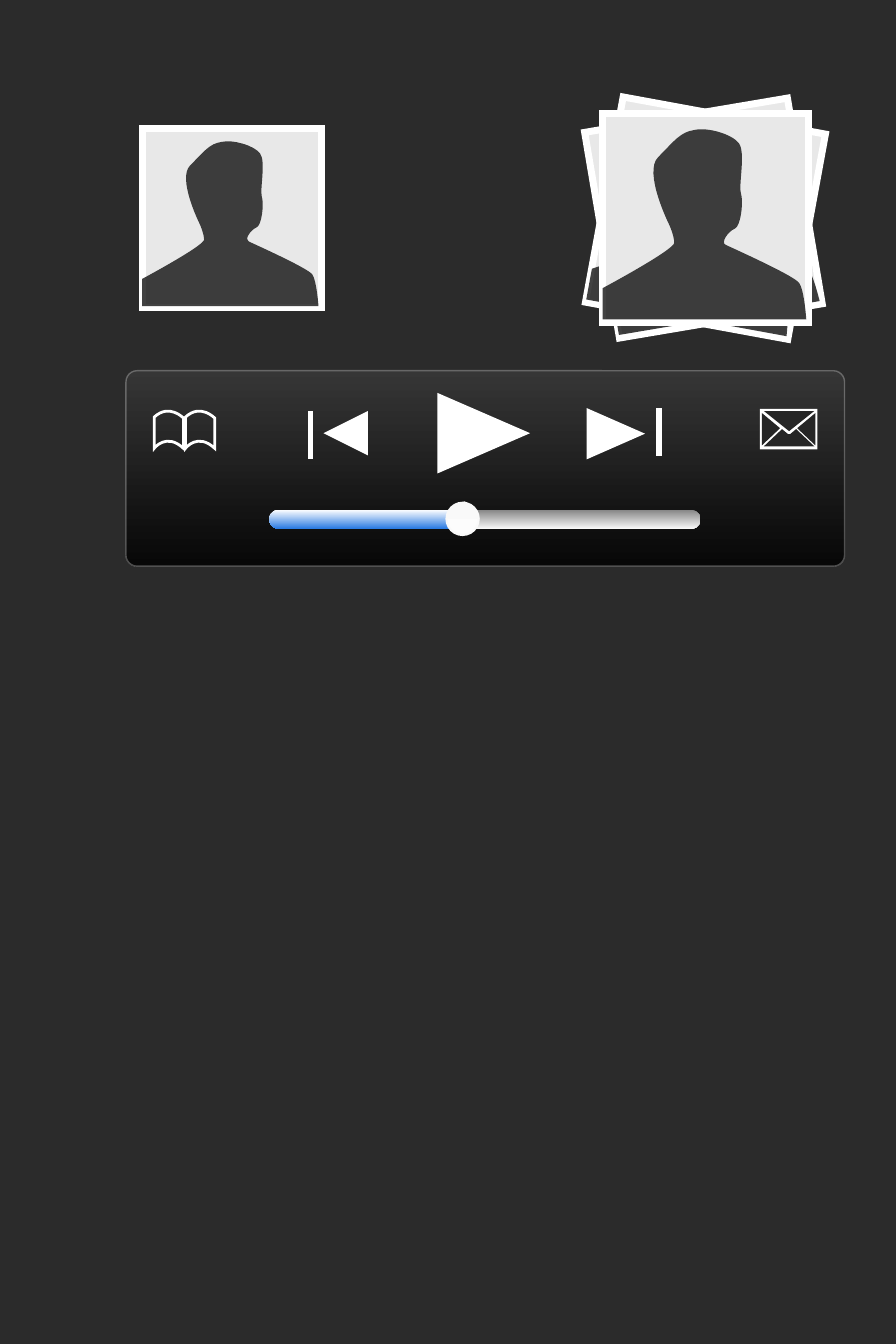
import pptx
import pptx.dml.color
import pptx.enum.shapes
import pptx.oxml
import pptx.oxml.ns
import pptx.util

PX = 9144
COLORS = {
    "page": "2B2B2B", "paper": "E8E8E8", "white": "FFFFFF", "black": "000000",
    "panel_top": "393939", "panel_edge": "EEEEEE",
    "track_top": "848484", "track_bottom": "F9F9F9",
    "progress": "2879E2", "knob": "FCFCFC", "flap": "262626",
}
SHAPE = pptx.enum.shapes.MSO_SHAPE
PERSON_WIDTH = 202
PERSON = [
    (0, 204), (0, 173),
    (0, 173, 71, 135, 71, 128), (71, 121, 66, 110, 66, 110),
    (66, 110, 40, 58, 55, 43), (71, 27, 77, 18, 91, 16),
    (104, 13, 128, 20, 135, 29), (142, 38, 135, 69, 137, 78),
    (140, 87, 137, 112, 131, 114), (124, 117, 117, 128, 122, 130),
    (126, 132, 191, 161, 195, 168), (200, 175, 202, 204, 202, 204),
]
BOOK_LEAF = [(0, 6), (0, 37), (0, 37, 12, 21, 29, 37), (29, 7), (29, 7, 15, -8, 0, 6)]
FLAPS = [
    [(29, 22), (54, 2), (4, 2)],
    [(55, 4), (37, 19), (55, 36)],
    [(2, 4), (2, 36), (20, 19)],
    [(36, 20), (30, 25), (28, 25), (22, 20), (4, 37), (54, 37)],
]


def rgb(name):
    """Return the named colour."""
    return pptx.dml.color.RGBColor.from_string(COLORS[name])


def make_xml(tag, attributes="", content=""):
    """Return one drawing element."""
    return pptx.oxml.parse_xml(
        f'<a:{tag} {pptx.oxml.ns.nsdecls("a")} {attributes}>{content}</a:{tag}>')


def set_alpha(element, percent):
    """Make every colour inside an element partly transparent."""
    for color in element.iter(pptx.oxml.ns.qn("a:srgbClr")):
        color.append(make_xml("alpha", f'val="{percent * 1000}"'))


def paint(shape, fill=None, line=None, width=1):
    """Give a shape a solid, two-colour or empty fill and an optional line."""
    shape.shadow.inherit = False
    if fill is None:
        shape.fill.background()
    elif isinstance(fill, tuple):
        shape.fill.gradient()
        shape.fill.gradient_angle = 270
        for stop, name in zip(shape.fill.gradient_stops, fill):
            stop.color.rgb = rgb(name)
    else:
        shape.fill.solid()
        shape.fill.fore_color.rgb = rgb(fill)
    if line is None:
        shape.line.fill.background()
    else:
        shape.line.color.rgb = rgb(line)
        shape.line.width = pptx.util.Pt(width)
        outline = shape.element.spPr.find(pptx.oxml.ns.qn("a:ln"))
        outline.append(make_xml("miter", 'lim="800000"'))


def add_preset(page, kind, box, rounding=None):
    """Add a preset shape in a box."""
    shape = page.shapes.add_shape(kind, *(round(length * PX) for length in box))
    if rounding is not None:
        shape.adjustments[0] = rounding
    return shape


def add_outline(page, left, top, segments, scale=1):
    """Add a closed outline of points and cubic curves relative to a corner."""
    placed = [[(round((left + x * scale) * PX), round((top + y * scale) * PX))
               for x, y in zip(segment[::2], segment[1::2])] for segment in segments]
    builder = page.shapes.build_freeform(*placed[0][-1], scale=1.0)
    builder.add_line_segments([points[-1] for points in placed[1:]], close=True)
    shape = builder.convert_to_shape()
    edges = list(shape.element.spPr.iter(pptx.oxml.ns.qn("a:lnTo")))
    for edge, points in zip(edges, placed[1:]):
        if len(points) == 3:
            content = "".join(f'<a:pt x="{x - shape.left}" y="{y - shape.top}"/>'
                              for x, y in points)
            edge.getparent().replace(edge, make_xml("cubicBezTo", "", content))
    return shape


def add_photo(page, box, person_box, rotation=0):
    """Place a framed portrait placeholder, given its frame and its person."""
    left, top, width, height = box
    corners = [(0, 0), (0, height), (width, height), (width, 0)]
    frame = add_outline(page, left, top, corners)
    paint(frame, "paper", "white", 5)
    person_left, person_top, person_width = person_box
    person = add_outline(page, person_left, person_top, PERSON, person_width / PERSON_WIDTH)
    paint(person, "black")
    set_alpha(person.element.spPr, 74)
    frame.rotation = person.rotation = rotation


def add_photo_stack(page, box):
    """Place two tilted photos under a straight one."""
    left, top, width, height = box
    for rotation, frame_shift, person_shift in ((350.4, -2, -1), (10.4, 0, -1), (0, 0, 0)):
        add_photo(page, (left + frame_shift, top, width, height),
                  (left + person_shift, top, PERSON_WIDTH), rotation)


def add_forward_arrow(page, box):
    """Place a triangle that points right and fills a box."""
    left, top, width, height = box
    inset = (width - height) / 2
    arrow = add_preset(page, SHAPE.ISOSCELES_TRIANGLE,
                       (left + inset, top - inset, height, width))
    arrow.rotation = 90
    paint(arrow, "white")


def add_bar(page, left, top, height):
    """Place the upright stroke of a skip button."""
    bar = page.shapes.add_connector(
        pptx.enum.shapes.MSO_CONNECTOR.STRAIGHT,
        left * PX, top * PX, left * PX, (top + height) * PX)
    bar.line.color.rgb = rgb("white")
    bar.line.width = pptx.util.Pt(4)
    bar.element.spPr.append(make_xml("effectLst"))


def add_buttons(page, left, top):
    """Place the previous, play and next buttons."""
    add_forward_arrow(page, (left + 126, top, 92, 80))
    back_arrow = add_outline(page, left + 13, top + 18, [(0, 22), (44, 0), (44, 44)])
    paint(back_arrow, "white")
    add_bar(page, left, top + 18, 48)
    add_forward_arrow(page, (left + 274, top + 15, 58, 51))
    add_bar(page, left + 346, top + 15, 48)


def add_slider(page, box):
    """Place the progress slider with its knob."""
    left, top, width, height = box
    track = add_preset(page, SHAPE.ROUNDED_RECTANGLE, box, 0.5)
    paint(track, ("track_top", "track_bottom"))
    progress = add_preset(page, SHAPE.ROUNDED_RECTANGLE, (left, top, 199, height), 0.5)
    paint(progress, ("white", "progress"))
    knob = add_preset(page, SHAPE.ROUNDED_RECTANGLE, (left + 176, top - 7, 32, 32), 0.5)
    paint(knob, ("track_bottom", "knob"), "track_bottom", 1.5)


def add_book(page, left, top):
    """Place the open book icon."""
    for leaf in range(2):
        paint(add_outline(page, left + 31 * leaf, top, BOOK_LEAF), None, "white", 2)


def add_envelope(page, box):
    """Place the envelope icon."""
    paint(add_preset(page, SHAPE.ROUNDED_RECTANGLE, box, 0), "white")
    for flap in FLAPS:
        paint(add_outline(page, box[0], box[1], flap), "flap")


def add_player(page, box):
    """Place the control panel and everything on it."""
    left, top, width, height = box
    panel = add_preset(page, SHAPE.ROUNDED_RECTANGLE, box, 0.057)
    paint(panel, ("panel_top", "black"), "panel_edge", 1)
    set_alpha(panel.element.spPr.find(pptx.oxml.ns.qn("a:gradFill")), 82)
    set_alpha(panel.element.spPr.find(pptx.oxml.ns.qn("a:ln")), 29)
    add_buttons(page, left + 183, top + 22)
    add_slider(page, (left + 142, top + 138, 428, 19))
    add_book(page, left + 28, top + 40)
    add_envelope(page, (left + 629, top + 38, 57, 40))


def main():
    """Build and save the slide."""
    deck = pptx.Presentation()
    deck.slide_width, deck.slide_height = 889 * PX, 1334 * PX
    page = deck.slides.add_slide(deck.slide_layouts[6])
    page.background.fill.solid()
    page.background.fill.fore_color.rgb = rgb("page")
    add_photo(page, (141, 128, 178, 177), (141, 127, 175))
    add_player(page, (125, 368, 713, 194))
    add_photo_stack(page, (598, 113, 204, 207))
    deck.save("out.pptx")


if __name__ == "__main__":
    main()
